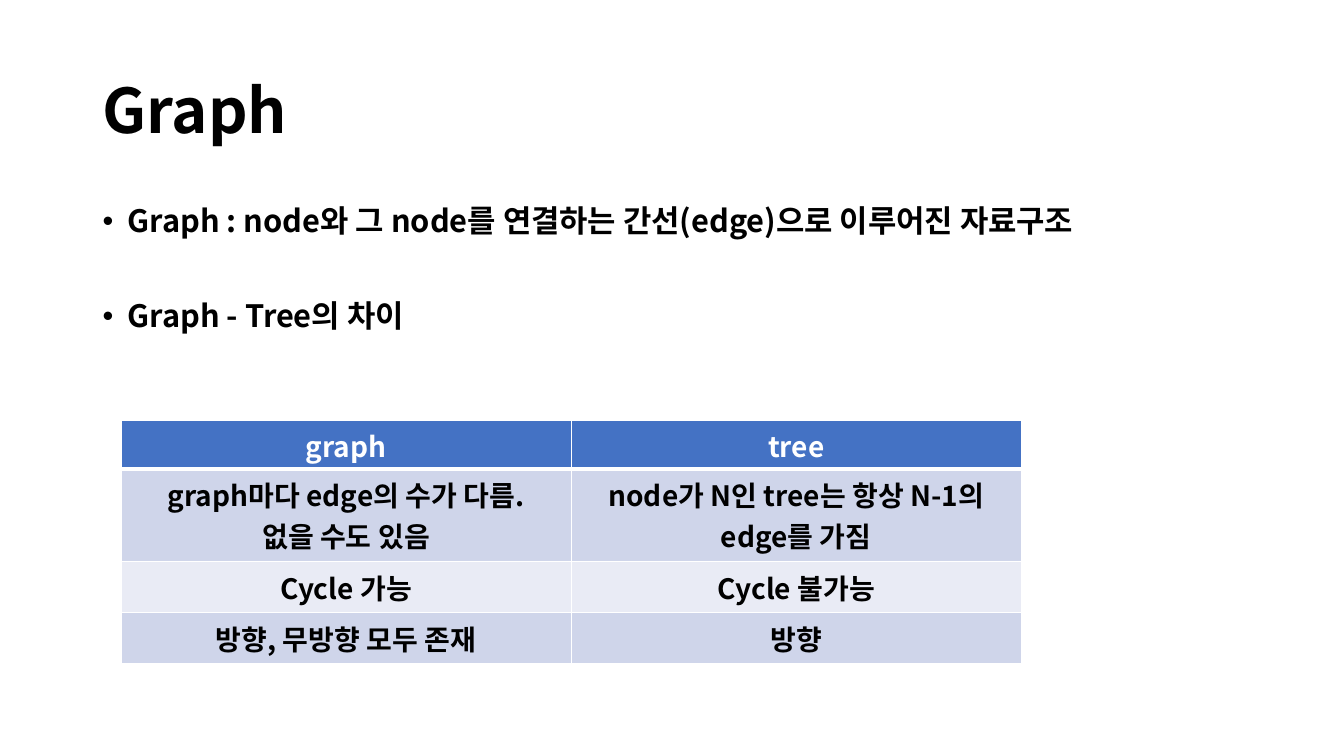
from dataclasses import dataclass

from lxml.etree import SubElement
from pptx import Presentation
from pptx.dml.color import RGBColor
from pptx.enum.text import MSO_ANCHOR, PP_ALIGN
from pptx.oxml.ns import qn
from pptx.util import Emu, Inches, Pt


@dataclass(frozen=True)
class Theme:
    font: str = "Noto Sans CJK KR"
    ink: str = "000000"
    paper: str = "FFFFFF"
    header: str = "4472C4"
    bands: tuple = ("CFD5EA", "E9EBF5")
    title_size: int = 44
    bullet_size: int = 22
    cell_size: int = 20
    bullet_gap: int = 44
    line_spacing: float = 0.9
    rule: int = 1
    header_rule: int = 3


THEME = Theme()
WIDTH, HEIGHT = Inches(13.33), Inches(7.5)

TITLE = "Graph"
BULLETS = [
    "Graph : node와 그 node를 연결하는 간선(edge)으로 이루어진 자료구조",
    "Graph - Tree의 차이",
]
COMPARISON = [
    ("graph", "tree"),
    ("graph마다 edge의 수가 다름.\n없을 수도 있음", "node가 N인 tree는 항상 N-1의 edge를 가짐"),
    ("Cycle 가능", "Cycle 불가능"),
    ("방향, 무방향 모두 존재", "방향"),
]
ROW_SHARES = (0.2, 0.38, 0.21, 0.21)


def share(left, top, width, height):
    """Turn shares of the slide's size into a box of lengths."""
    return (Emu(int(WIDTH * left)), Emu(int(HEIGHT * top)),
            Emu(int(WIDTH * width)), Emu(int(HEIGHT * height)))


def style_runs(paragraph, size, color):
    for run in paragraph.runs:
        run.font.name = THEME.font
        run.font.size = Pt(size)
        run.font.bold = True
        run.font.color.rgb = RGBColor.from_string(color)
        SubElement(run.font._element, qn("a:ea"), typeface=THEME.font)


def add_bullet(paragraph):
    properties = paragraph._p.get_or_add_pPr()
    properties.set("marL", str(Inches(0.25)))
    properties.set("indent", str(-Inches(0.25)))
    SubElement(properties, qn("a:buFont"), typeface="Arial")
    SubElement(properties, qn("a:buChar"), char="•")


def add_border(cell, side, points):
    line = SubElement(cell._tc.get_or_add_tcPr(), qn(f"a:{side}"), w=str(Pt(points)))
    fill = SubElement(line, qn("a:solidFill"))
    SubElement(fill, qn("a:srgbClr"), val=THEME.paper)


def add_title(slide, box):
    frame = slide.shapes.add_textbox(*box).text_frame
    frame.word_wrap = True
    frame.vertical_anchor = MSO_ANCHOR.MIDDLE
    heading = frame.paragraphs[0]
    heading.text = TITLE
    heading.line_spacing = THEME.line_spacing
    style_runs(heading, THEME.title_size, THEME.ink)


def add_bullets(slide, box):
    frame = slide.shapes.add_textbox(*box).text_frame
    frame.word_wrap = True
    frame.text = "\n".join(BULLETS)
    for index, point in enumerate(frame.paragraphs):
        add_bullet(point)
        point.line_spacing = THEME.line_spacing
        if index:
            point.space_before = Pt(THEME.bullet_gap)
        style_runs(point, THEME.bullet_size, THEME.ink)


def fill_cell(cell, words, row):
    is_header = row == 0
    # Borders precede the fill in the cell's properties.
    for side in ("lnL", "lnR", "lnT", "lnB"):
        by_header = (row, side) in ((0, "lnB"), (1, "lnT"))
        add_border(cell, side, THEME.header_rule if by_header else THEME.rule)
    cell.fill.solid()
    band = THEME.header if is_header else THEME.bands[(row - 1) % 2]
    cell.fill.fore_color.rgb = RGBColor.from_string(band)
    cell.text_frame.text = words
    for line in cell.text_frame.paragraphs:
        line.alignment = PP_ALIGN.CENTER
        style_runs(line, THEME.cell_size, THEME.paper if is_header else THEME.ink)


def add_comparison(slide, box):
    table = slide.shapes.add_table(len(COMPARISON), len(COMPARISON[0]), *box).table
    height = box[3]
    for row, (entries, row_share) in enumerate(zip(COMPARISON, ROW_SHARES)):
        table.rows[row].height = Emu(int(height * row_share))
        for column, words in enumerate(entries):
            fill_cell(table.cell(row, column), words, row)


def main():
    deck = Presentation()
    deck.slide_width, deck.slide_height = WIDTH, HEIGHT
    slide = deck.slides.add_slide(deck.slide_layouts[6])
    add_title(slide, share(0.069, 0.053, 0.863, 0.193))
    add_bullets(slide, share(0.069, 0.266, 0.863, 0.635))
    add_comparison(slide, share(0.09, 0.556, 0.67, 0.322))
    deck.save("out.pptx")


if __name__ == "__main__":
    main()
